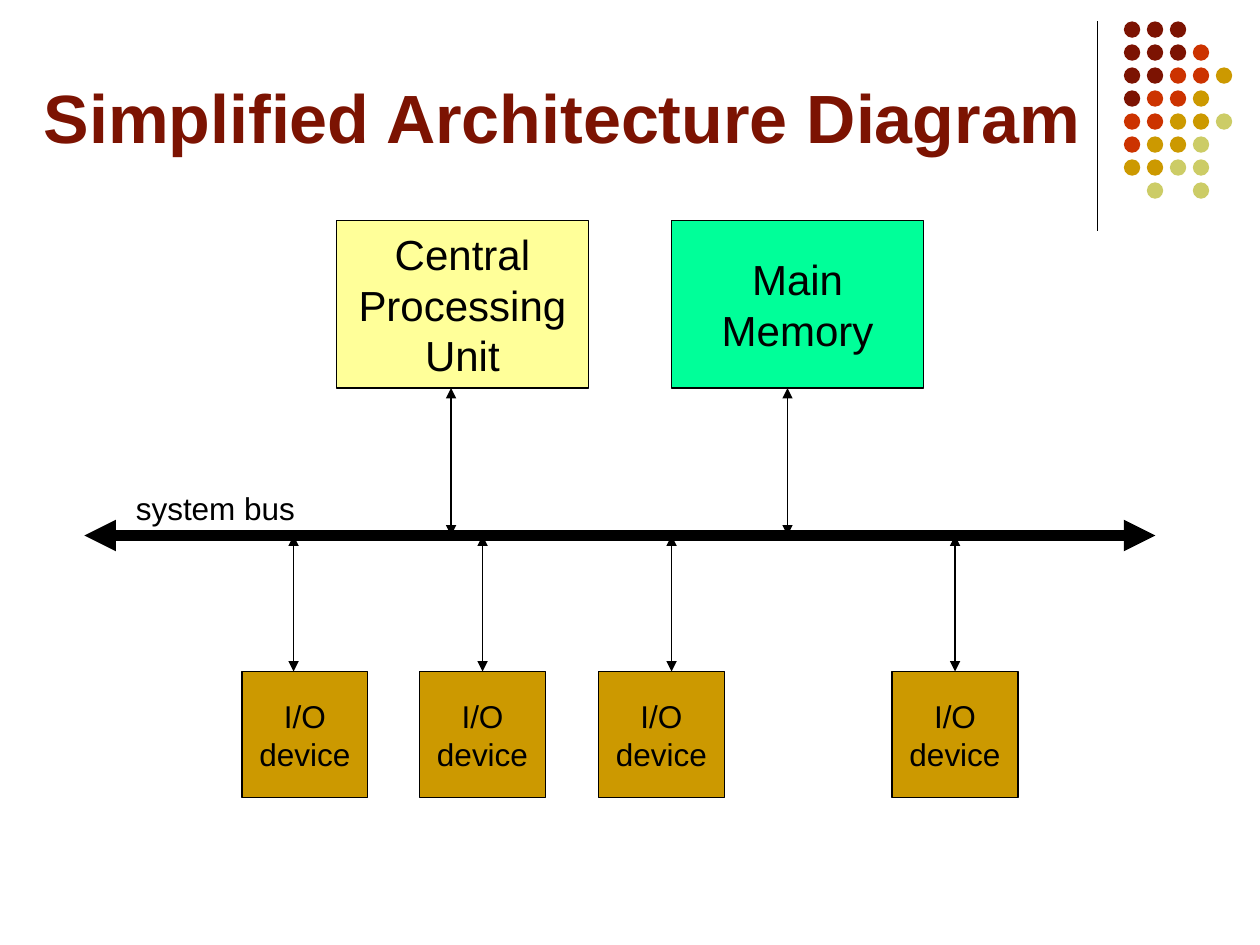
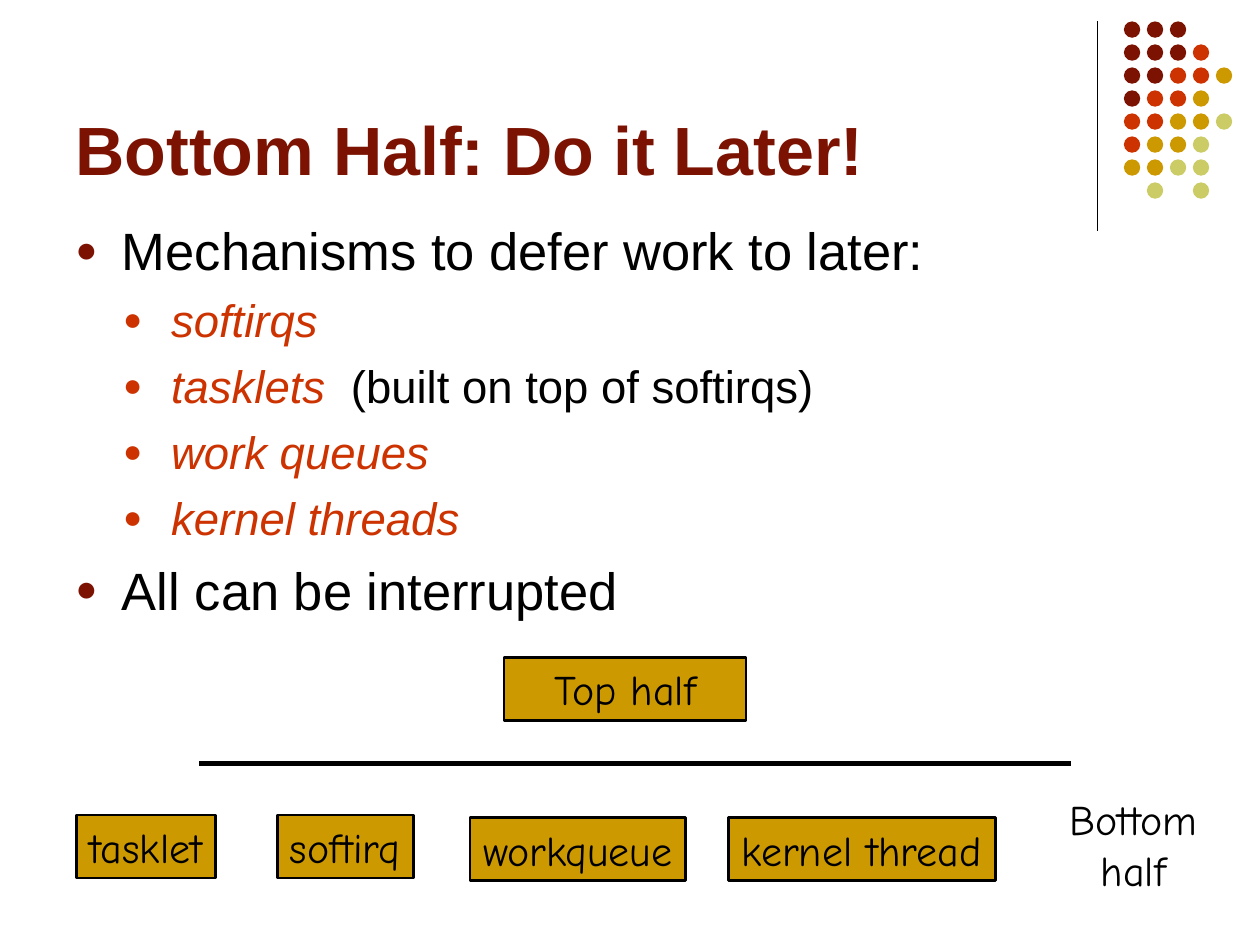
import pptx
import pptx.util
import pptx.dml.color
import pptx.enum.shapes
import pptx.enum.text
import pptx.oxml.ns
from lxml import etree

Inches = pptx.util.Inches
Pt = pptx.util.Pt
RGB = pptx.dml.color.RGBColor.from_string
SHAPE = pptx.enum.shapes.MSO_SHAPE
ANCHOR = pptx.enum.text.MSO_ANCHOR
ALIGN = pptx.enum.text.PP_ALIGN
qn = pptx.oxml.ns.qn

COLORS = {
    "maroon": "7C1302", "red": "CC3300", "gold": "CC9900", "olive": "CCCC66",
    "yellow": "FFFF99", "green": "00FF99", "black": "000000",
}


def add_box(s, at, lines, size, font="Arial", color="black", bold=False, fill=None,
            border=0.75, align=ALIGN.CENTER, anchor=ANCHOR.MIDDLE, wrap=True):
    """Add a filled rectangle, or a plain text box when fill is None."""
    at = [Inches(v) for v in at]
    if fill:
        sp = s.shapes.add_shape(SHAPE.RECTANGLE, *at)
        sp.shadow.inherit = False
        sp.fill.solid()
        sp.fill.fore_color.rgb = RGB(COLORS[fill])
        sp.line.color.rgb = RGB(COLORS["black"])
        sp.line.width = Pt(border)
    else:
        sp = s.shapes.add_textbox(*at)
    tf = sp.text_frame
    tf.word_wrap = wrap
    tf.vertical_anchor = anchor
    for i, line in enumerate(lines):
        p = tf.add_paragraph() if i else tf.paragraphs[0]
        p.alignment = align
        r = p.add_run()
        r.text = line
        r.font.size = Pt(size)
        r.font.name = font
        r.font.bold = bold
        r.font.color.rgb = RGB(COLORS[color])


def add_line(s, x1, y1, x2, y2, width=0.75, arrows=False):
    sp = s.shapes.add_connector(pptx.enum.shapes.MSO_CONNECTOR.STRAIGHT,
                                Inches(x1), Inches(y1), Inches(x2), Inches(y2))
    sp.line.color.rgb = RGB(COLORS["black"])
    sp.line.width = Pt(width)
    if arrows:
        for end in ("a:headEnd", "a:tailEnd"):
            etree.SubElement(sp.line._get_or_add_ln(), qn(end), type="triangle")
    etree.SubElement(sp._element.spPr, qn("a:effectLst"))


prs = pptx.Presentation()
prs.slide_width, prs.slide_height = Inches(10), Inches(7.5)

# Shared: corner rule, dot pattern and title
DOT_COLORS = {"m": "maroon", "r": "red", "g": "gold", "o": "olive"}
DOT_ROWS = ["mmm", "mmmr", "mmrrg", "mrrg", "rrggo", "rggo", "ggoo", " o o"]
DOT_SIZE = 0.13
DOT_PITCH = 0.73 / 4
titles = [
    ("Simplified Architecture Diagram", (0.25, 0.3, 9, 1.25), ANCHOR.MIDDLE),
    ("Bottom Half: Do it Later!", (0.5, 0.13, 8.25, 1.42), ANCHOR.BOTTOM),
]
for title, at, anchor in titles:
    s = prs.slides.add_slide(prs.slide_layouts[6])
    add_line(s, 8.71, 0.17, 8.71, 1.83)
    dots = s.shapes.add_group_shape()
    for row, keys in enumerate(DOT_ROWS):
        for col, key in enumerate(keys):
            if key == " ":
                continue
            sp = dots.shapes.add_shape(
                SHAPE.OVAL, Inches(8.92 + col * DOT_PITCH), Inches(0.17 + row * DOT_PITCH),
                Inches(DOT_SIZE), Inches(DOT_SIZE))
            sp.shadow.inherit = False
            sp.fill.solid()
            sp.fill.fore_color.rgb = RGB(COLORS[DOT_COLORS[key]])
            sp.line.fill.background()
    add_box(s, at, [title], 39, color="maroon", bold=True, align=ALIGN.LEFT, anchor=anchor)

architecture, bottom_half = prs.slides

# Slide 1: units above the bus, devices below it
s = architecture
BUS_Y = 4.25
UNIT_TOP, UNIT_HEIGHT = 1.75, 1.33
DEVICE_TOP = 5.33
units = [
    (2.67, 3.58, "yellow", ["Central", "Processing", "Unit"]),
    (5.33, 6.25, "green", ["Main", "Memory"]),
]
for left, arrow_x, fill, lines in units:
    add_box(s, (left, UNIT_TOP, 2, UNIT_HEIGHT), lines, 24, fill=fill, wrap=False)
    add_line(s, arrow_x, UNIT_TOP + UNIT_HEIGHT, arrow_x, BUS_Y, arrows=True)
for left, arrow_x in [(1.92, 2.33), (3.33, 3.83), (4.75, 5.33), (7.08, 7.58)]:
    add_box(s, (left, DEVICE_TOP, 1, 1), ["I/O", "device"], 18, fill="gold", wrap=False)
    add_line(s, arrow_x, BUS_Y, arrow_x, DEVICE_TOP, arrows=True)
add_line(s, 0.67, BUS_Y, 9.17, BUS_Y, width=6, arrows=True)
add_box(s, (0.98, 3.83, 1.6, 0.4), ["system bus"], 18, align=ALIGN.LEFT, anchor=ANCHOR.TOP)

# Slide 2: bullet list; each run is (text, is_term)
s = bottom_half
bullets = [
    (0, [("Mechanisms to defer work to later:", False)]),
    (1, [("softirqs", True)]),
    (1, [("tasklets  ", True), ("(built on top of softirqs)", False)]),
    (1, [("work queues", True)]),
    (1, [("kernel threads", True)]),
    (0, [("All can be interrupted", False)]),
]
# Per level: text size, space before, left margin, hanging indent, bullet colour
LEVELS = [(30, 7.5, 0.37, 0.37, "maroon"), (26, 6.5, 0.76, 0.38, "red")]
tf = s.shapes.add_textbox(Inches(0.5), Inches(1.68), Inches(9), Inches(3.32)).text_frame
tf.word_wrap = True
for i, (level, runs) in enumerate(bullets):
    size, space, margin, hang, bullet_color = LEVELS[level]
    p = tf.add_paragraph() if i else tf.paragraphs[0]
    p.level = level
    p.space_before = Pt(space)
    pPr = p._p.get_or_add_pPr()
    pPr.set("marL", str(Inches(margin)))
    pPr.set("indent", str(-Inches(hang)))
    clr = etree.SubElement(pPr, qn("a:buClr"))
    etree.SubElement(clr, qn("a:srgbClr"), val=COLORS[bullet_color])
    etree.SubElement(pPr, qn("a:buSzPct"), val="70000")
    etree.SubElement(pPr, qn("a:buFont"), typeface="Arial")
    etree.SubElement(pPr, qn("a:buChar"), char="●")
    for text, is_term in runs:
        r = p.add_run()
        r.text = text
        r.font.size = Pt(size)
        r.font.name = "Arial"
        r.font.italic = is_term
        r.font.color.rgb = RGB(COLORS["red" if is_term else "black"])

# Slide 2: top half above the line, bottom half below it
mechanisms = [
    ("Top half", 4, 5.22, 1.92),
    ("tasklet", 0.61, 6.47, 1.1),
    ("softirq", 2.2, 6.47, 1.08),
    ("workqueue", 3.73, 6.49, 1.71),
    ("kernel thread", 5.78, 6.49, 2.12),
]
for label, left, top, width in mechanisms:
    add_box(s, (left, top, width, 0.5), [label], 24, font="Comic Neue", fill="gold",
            border=1.5, wrap=False)
add_line(s, 1.58, 6.06, 8.5, 6.06, width=3)
add_box(s, (8.33, 6.25, 1.33, 0.9), ["Bottom half"], 24, font="Comic Neue", anchor=ANCHOR.TOP)

prs.save("out.pptx")
